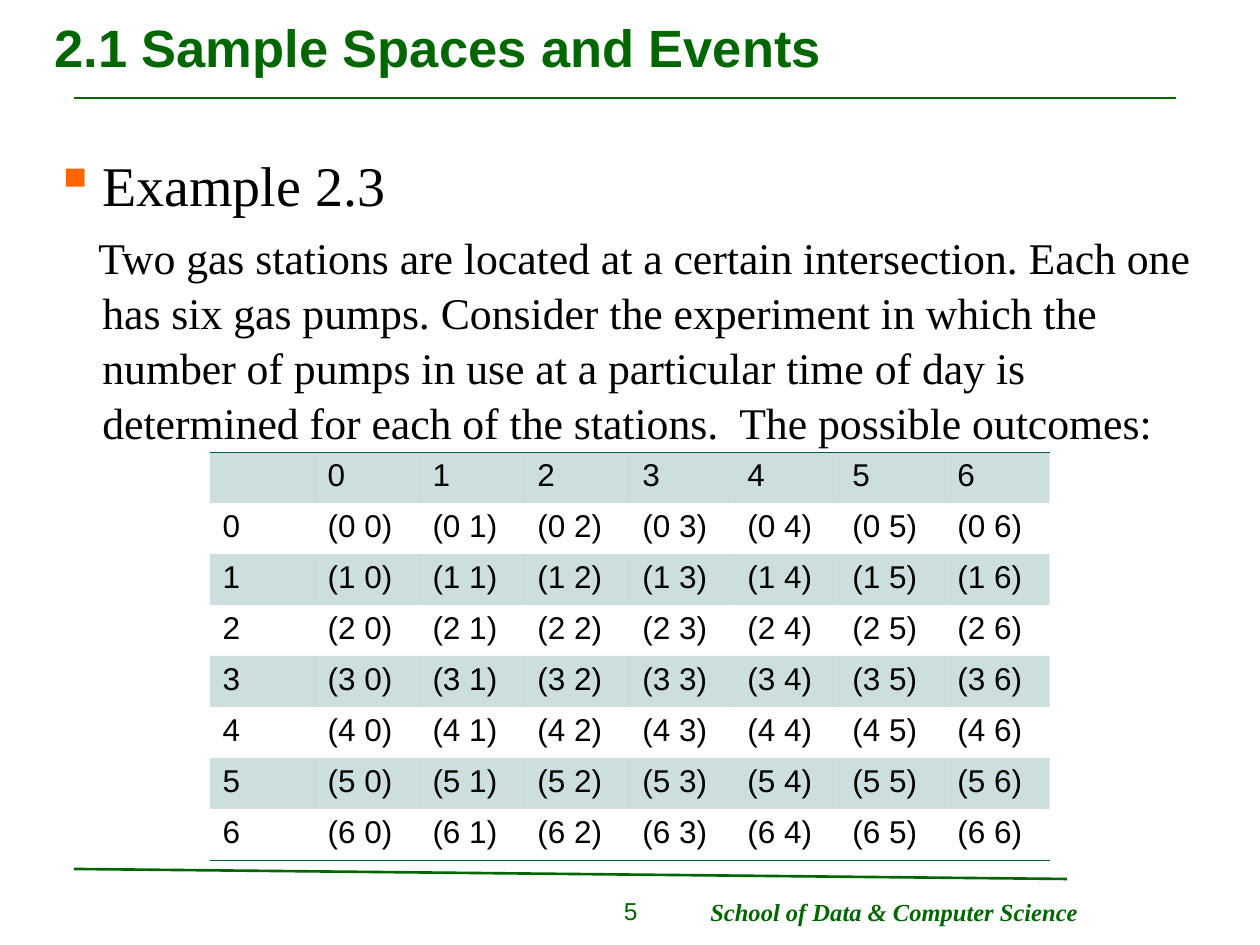
from lxml import etree
from pptx import Presentation
from pptx.dml.color import RGBColor
from pptx.enum.shapes import MSO_CONNECTOR
from pptx.enum.text import MSO_ANCHOR, PP_ALIGN
from pptx.oxml.ns import qn
from pptx.util import Emu, Pt

STRAIGHT = MSO_CONNECTOR.STRAIGHT
MIDDLE, TOP = MSO_ANCHOR.MIDDLE, MSO_ANCHOR.TOP
RIGHT = PP_ALIGN.RIGHT
PX = 914400 // 126
SERIF, SANS = "Times New Roman", "Arial"
NO_STYLE = "{2D5ABB26-0587-4C30-8999-92F81FD0307C}"
COLORS = {"green": "006600", "orange": "FF6600", "teal": "005C5C", "black": "000000"}

TITLE = "2.1 Sample Spaces and Events"
HEADING = "Example 2.3"
PROBLEM = (
    "Two gas stations are located at a certain intersection. Each one has six "
    "gas pumps. Consider the experiment in which the number of pumps in use at "
    "a particular time of day is determined for each of the stations.  "
    "The possible outcomes:"
)
FOOTER = "School of Data & Computer Science"
PAGE_NUMBER = "5"
PUMPS = range(7)
OUTCOMES = [["", *map(str, PUMPS)]] + [
    [str(first), *(f"({first} {second})" for second in PUMPS)] for first in PUMPS
]
RULES = [(74, 98, 1176, 98), (74, 869, 1067, 879)]
TABLE_LEFT, TABLE_TOP, COLUMN_WIDTH, ROW_HEIGHT = 210, 452, 105, 51
HANGING = 48


def px(*lengths):
    return [Emu(length * PX) for length in lengths]


def set_font(para, name, size, color, bold=False, italic=False):
    font = para.font
    font.name, font.size, font.bold, font.italic = name, Pt(size), bold, italic
    font.color.rgb = RGBColor.from_string(COLORS[color])


def add_text(page, place, text, wrap=True, anchor=TOP):
    """Add a text box and return its frame."""
    frame = page.shapes.add_textbox(*px(*place)).text_frame
    frame.word_wrap, frame.vertical_anchor = wrap, anchor
    frame.text = text
    return frame


def set_indent(para, first_line, bullet=None):
    props = para._p.get_or_add_pPr()
    props.set("marL", str(HANGING * PX))
    props.set("indent", str(first_line * PX))
    if bullet:
        color = etree.SubElement(props, qn("a:buClr"))
        etree.SubElement(color, qn("a:srgbClr"), val=COLORS["orange"])
        etree.SubElement(props, qn("a:buChar"), char=bullet)


def add_rule(page, ends):
    rule = page.shapes.add_connector(STRAIGHT, *px(*ends))
    rule.line.color.rgb = RGBColor.from_string(COLORS["green"])
    rule.line.width = Pt(1.5)
    etree.SubElement(rule._element.spPr, qn("a:effectLst"))


def add_border(cell, side):
    border = etree.Element(qn(f"a:{side}"), w=str(Pt(0.45)))
    fill = etree.SubElement(border, qn("a:solidFill"))
    etree.SubElement(fill, qn("a:srgbClr"), val=COLORS["teal"])
    cell._tc.get_or_add_tcPr().insert(0, border)


def tint(cell):
    """Fill a cell with teal at 20 % opacity."""
    cell.fill.solid()
    cell.fill.fore_color.rgb = RGBColor.from_string(COLORS["teal"])
    color = cell._tc.tcPr.find(f"{qn('a:solidFill')}/{qn('a:srgbClr')}")
    etree.SubElement(color, qn("a:alpha"), val="20000")


def add_outcomes(page):
    rows, columns = len(OUTCOMES), len(OUTCOMES[0])
    place = px(TABLE_LEFT, TABLE_TOP, columns * COLUMN_WIDTH, rows * ROW_HEIGHT)
    table = page.shapes.add_table(rows, columns, *place).table
    table.first_row = table.horz_banding = False
    table._tbl.tblPr.find(qn("a:tableStyleId")).text = NO_STYLE
    for r, row in enumerate(OUTCOMES):
        for c, text in enumerate(row):
            cell = table.cell(r, c)
            cell.text = text
            set_font(cell.text_frame.paragraphs[0], SANS, 18, "black")
            if r % 2 == 0:
                tint(cell)
            else:
                cell.fill.background()
            if r == 0:
                add_border(cell, "lnT")
            elif r == rows - 1:
                add_border(cell, "lnB")


def main():
    deck = Presentation()
    deck.slide_width, deck.slide_height = px(1260, 945)
    page = deck.slides.add_slide(deck.slide_layouts[6])

    for ends in RULES:
        add_rule(page, ends)

    footer = add_text(page, (698, 891, 393, 43), FOOTER, wrap=False)
    set_font(footer.paragraphs[0], SERIF, 14, "green", bold=True, italic=True)

    body = add_text(page, (42, 137, 1177, 728), HEADING)
    body.margin_top = Emu(10 * PX)
    heading, problem = body.paragraphs[0], body.add_paragraph()
    problem.text = PROBLEM
    heading.line_spacing = problem.line_spacing = 1.05
    problem.space_before = Pt(6.2)
    set_indent(heading, -HANGING, "▪")
    set_indent(problem, -4)
    set_font(heading, SERIF, 32, "black")
    set_font(problem, SERIF, 25, "black")

    title = add_text(page, (42, 4, 1177, 86), TITLE, anchor=MIDDLE)
    set_font(title.paragraphs[0], SANS, 30, "green", bold=True)

    number = add_text(page, (522, 890, 128, 45), PAGE_NUMBER).paragraphs[0]
    number.alignment = RIGHT
    set_font(number, SANS, 14, "green")

    add_outcomes(page)
    deck.save("out.pptx")


if __name__ == "__main__":
    main()
